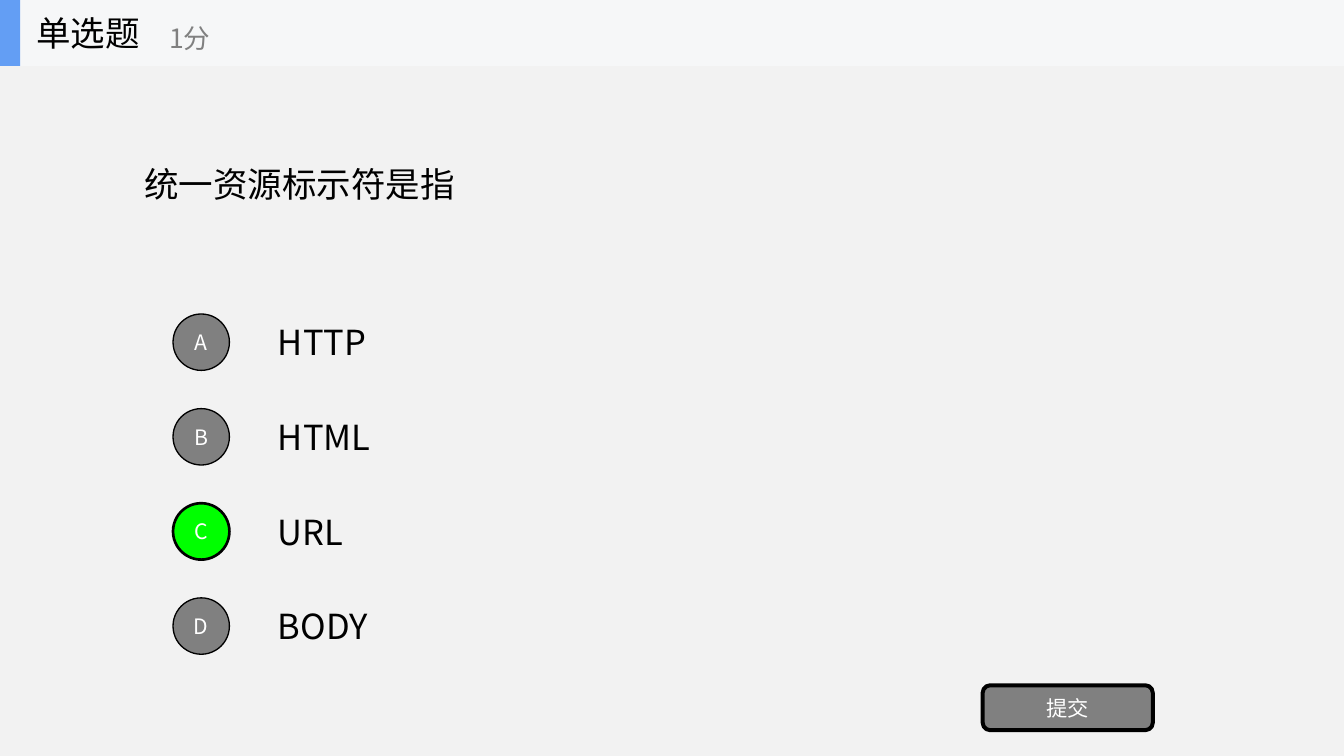
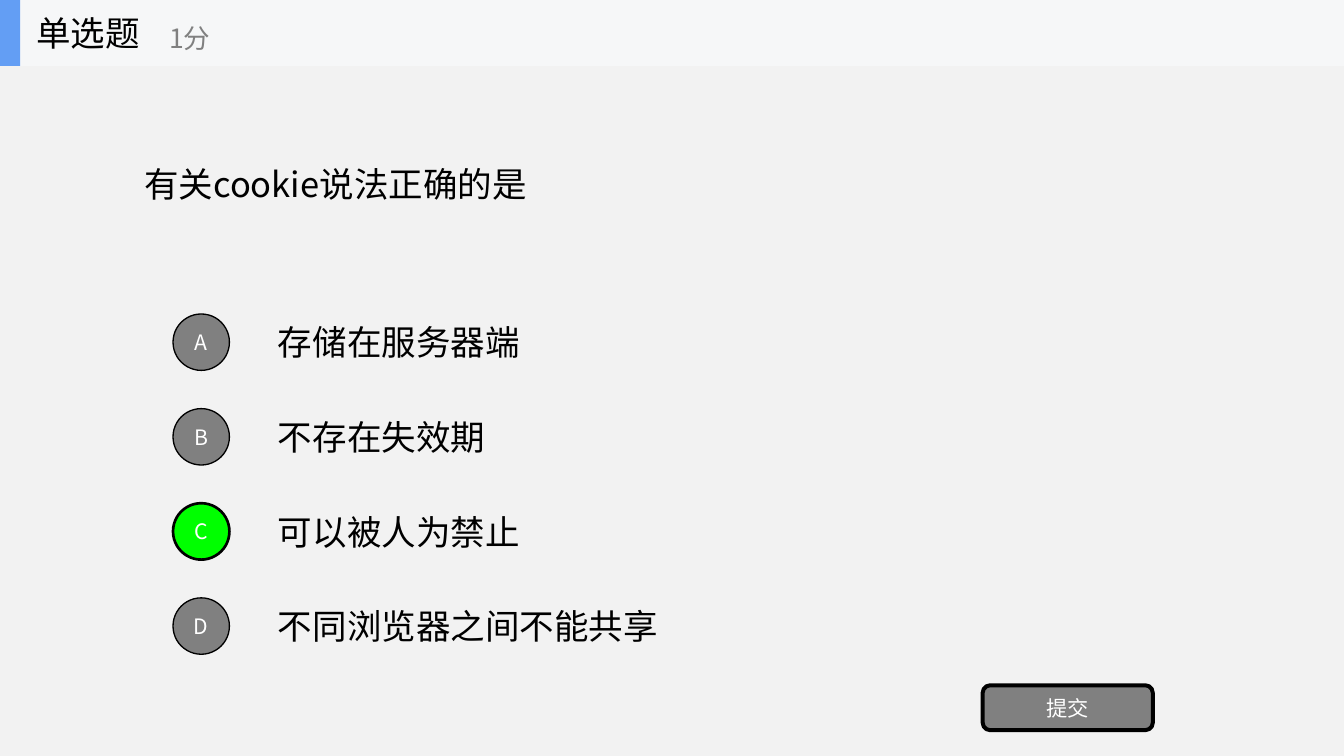
import pptx
import pptx.util
import pptx.dml.color
import pptx.enum.shapes
import pptx.enum.text
import pptx.oxml.ns
import lxml.etree

Inches, Pt = pptx.util.Inches, pptx.util.Pt
RGBColor = pptx.dml.color.RGBColor
SHAPE = pptx.enum.shapes.MSO_SHAPE
ALIGN = pptx.enum.text.PP_ALIGN

PAPER = RGBColor(0xF2, 0xF2, 0xF2)
BAND = RGBColor(0xF6, 0xF7, 0xF8)
ACCENT = RGBColor(0x63, 0x9E, 0xF4)
GRAY = RGBColor(0x80, 0x80, 0x80)
GREEN = RGBColor(0x00, 0xFF, 0x00)
BLACK = RGBColor(0x00, 0x00, 0x00)
WHITE = RGBColor(0xFF, 0xFF, 0xFF)

FONT = "Noto Sans CJK SC"
WIDTH, HEIGHT = 14.06, 7.91
HEADER_H = 0.69
ROW_PITCH = 0.99
CIRCLE = 0.59

QUESTIONS = [
    ("统一资源标示符是指", ["HTTP", "HTML", "URL", "BODY"], "C"),
    ("有关cookie说法正确的是",
     ["存储在服务器端", "不存在失效期", "可以被人为禁止", "不同浏览器之间不能共享"], "C"),
]


def write(sp, text, size, color, align=ALIGN.LEFT):
    """Put one vertically centred line of text into a shape."""
    tf = sp.text_frame
    tf.word_wrap = True
    tf.vertical_anchor = pptx.enum.text.MSO_ANCHOR.MIDDLE
    p = tf.paragraphs[0]
    p.text = text
    p.alignment = align
    p.font.size = Pt(size)
    p.font.color.rgb = color
    p.font.name = FONT
    props = p._p.pPr.find(pptx.oxml.ns.qn("a:defRPr"))
    ea = lxml.etree.SubElement(props, pptx.oxml.ns.qn("a:ea"))
    ea.set("typeface", FONT)


def add_text(shapes, x, y, w, h, text, size=26, color=BLACK):
    """Add a left-aligned text box."""
    sp = shapes.add_textbox(Inches(x), Inches(y), Inches(w), Inches(h))
    write(sp, text, size, color)


def add_box(shapes, kind, x, y, w, h, fill, line_width=0):
    """Add a filled shape, outlined in black when a line width is given."""
    sp = shapes.add_shape(kind, Inches(x), Inches(y), Inches(w), Inches(h))
    sp.shadow.inherit = False
    sp.fill.solid()
    sp.fill.fore_color.rgb = fill
    if line_width:
        sp.line.color.rgb = BLACK
        sp.line.width = Pt(line_width)
    else:
        sp.line.fill.background()
    return sp


def add_header(slide, x, y, w, h):
    """Add the grouped title band with question type and score."""
    shapes = slide.shapes.add_group_shape().shapes
    add_box(shapes, SHAPE.RECTANGLE, x, y, w, h, BAND)
    add_box(shapes, SHAPE.RECTANGLE, x, y, 0.21, h, ACCENT)
    add_text(shapes, x + 0.28, y, 2.08, h, "单选题")
    add_text(shapes, x + 1.67, y + 0.12, 2.5, 0.56, "1分", 20, GRAY)


def add_option(slide, x, y, w, h, letter, text, correct):
    """Add one answer row: a lettered circle and its wording."""
    add_text(slide.shapes, x + 1, y, w - 1, h, text)
    fill, line_width = (GREEN, 2) if correct else (GRAY, 1)
    sp = add_box(slide.shapes, SHAPE.OVAL, x, y + (h - CIRCLE) / 2,
                 CIRCLE, CIRCLE, fill, line_width)
    write(sp, letter, 16, WHITE, ALIGN.CENTER)


def add_submit(slide, x, y, w, h):
    """Add the submit button."""
    sp = add_box(slide.shapes, SHAPE.ROUNDED_RECTANGLE, x, y, w, h, GRAY, 3)
    write(sp, "提交", 16, WHITE, ALIGN.CENTER)


def add_question(prs, question, options, answer):
    """Add a complete single-choice slide."""
    slide = prs.slides.add_slide(prs.slide_layouts[6])
    slide.background.fill.solid()
    slide.background.fill.fore_color.rgb = PAPER
    add_text(slide.shapes, 1.41, HEADER_H, 11.25, 2.47, question)
    for i, (letter, text) in enumerate(zip("ABCD", options)):
        add_option(slide, 1.81, 3.21 + i * ROW_PITCH, 10.84, 0.74,
                   letter, text, letter == answer)
    add_submit(slide, 10.28, 7.17, 1.78, 0.47)
    add_header(slide, 0, 0, WIDTH, HEADER_H)


def main():
    """Build and save the quiz."""
    prs = pptx.Presentation()
    prs.slide_width, prs.slide_height = Inches(WIDTH), Inches(HEIGHT)
    for question, options, answer in QUESTIONS:
        add_question(prs, question, options, answer)
    prs.save("out.pptx")


if __name__ == "__main__":
    main()
